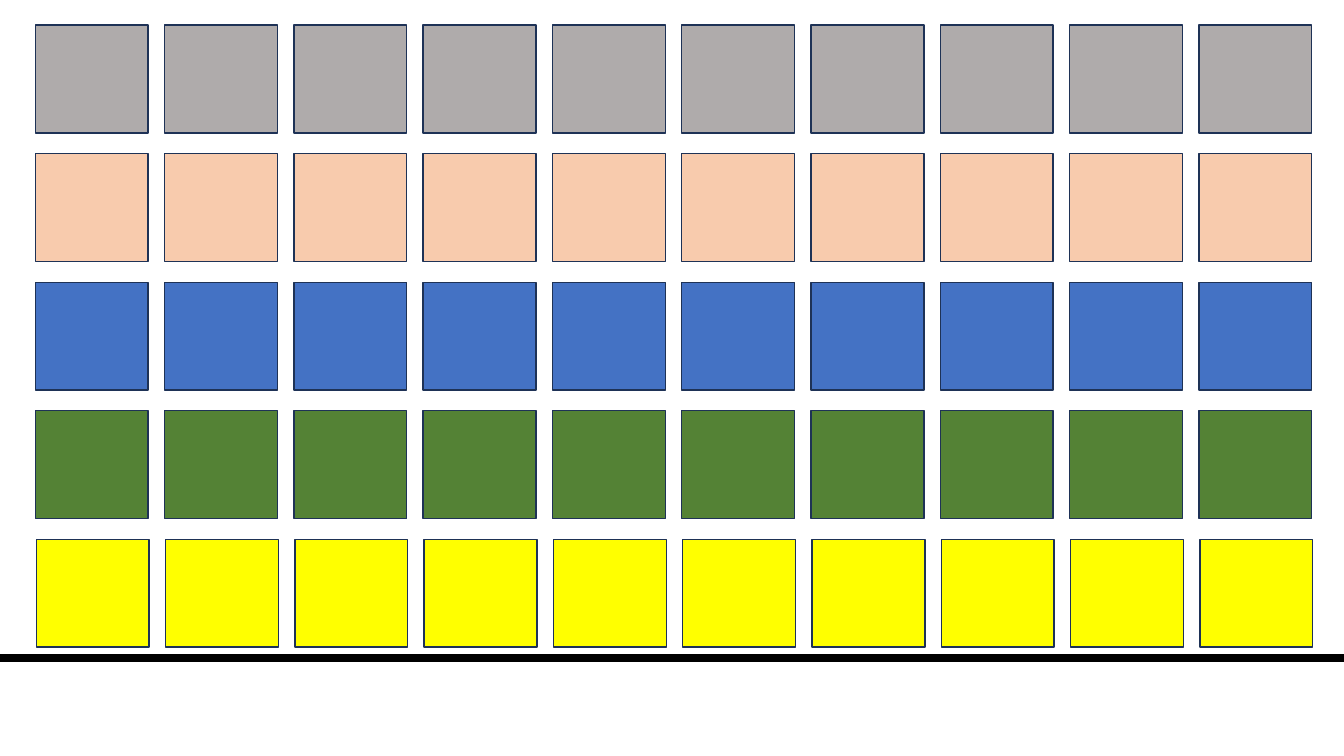
from pptx import Presentation
from pptx.dml.color import RGBColor
from pptx.enum.shapes import MSO_SHAPE
from pptx.util import Inches, Pt

COLORS = {
    "gray": "AFABAB",
    "peach": "F8CBAD",
    "blue": "4472C4",
    "green": "548235",
    "yellow": "FFFF00",
    "edge": "1E3256",
    "frame": "000000",
}
ROWS = ["gray", "peach", "blue", "green", "yellow"]
COLS = 10
LEFT, LAST_LEFT = 0.35, 11.89
TOP, LAST_TOP = 0.25, 5.35
TILE_W, TILE_H = 1.12, 1.07
SHIFT = {"yellow": 0.01}  # the yellow row sits slightly to the right


def add_box(slide, left, top, width, height, edge, weight, fill=None):
    """Add an outlined rectangle, hollow unless a fill is named."""
    box = slide.shapes.add_shape(
        MSO_SHAPE.RECTANGLE,
        Inches(left), Inches(top), Inches(width), Inches(height))
    box.shadow.inherit = False
    if fill:
        box.fill.solid()
        box.fill.fore_color.rgb = RGBColor.from_string(COLORS[fill])
    else:
        box.fill.background()
    box.line.color.rgb = RGBColor.from_string(COLORS[edge])
    box.line.width = Pt(weight)


def add_row(slide, top, color):
    """Add one row of evenly spaced tiles in a single colour."""
    step = (LAST_LEFT - LEFT) / (COLS - 1)
    start = LEFT + SHIFT.get(color, 0)
    for col in range(COLS):
        add_box(slide, start + col * step, top, TILE_W, TILE_H,
                "edge", 1, color)


def main():
    """Build the tile grid and its frame, then save the slide."""
    deck = Presentation()
    deck.slide_width, deck.slide_height = Inches(13.33), Inches(7.5)
    slide = deck.slides.add_slide(deck.slide_layouts[6])
    step = (LAST_TOP - TOP) / (len(ROWS) - 1)
    for row, color in enumerate(ROWS):
        add_row(slide, TOP + row * step, color)
    add_box(slide, -0.07, -0.09, 13.53, 6.62, "frame", 6)
    deck.save("out.pptx")


main()
